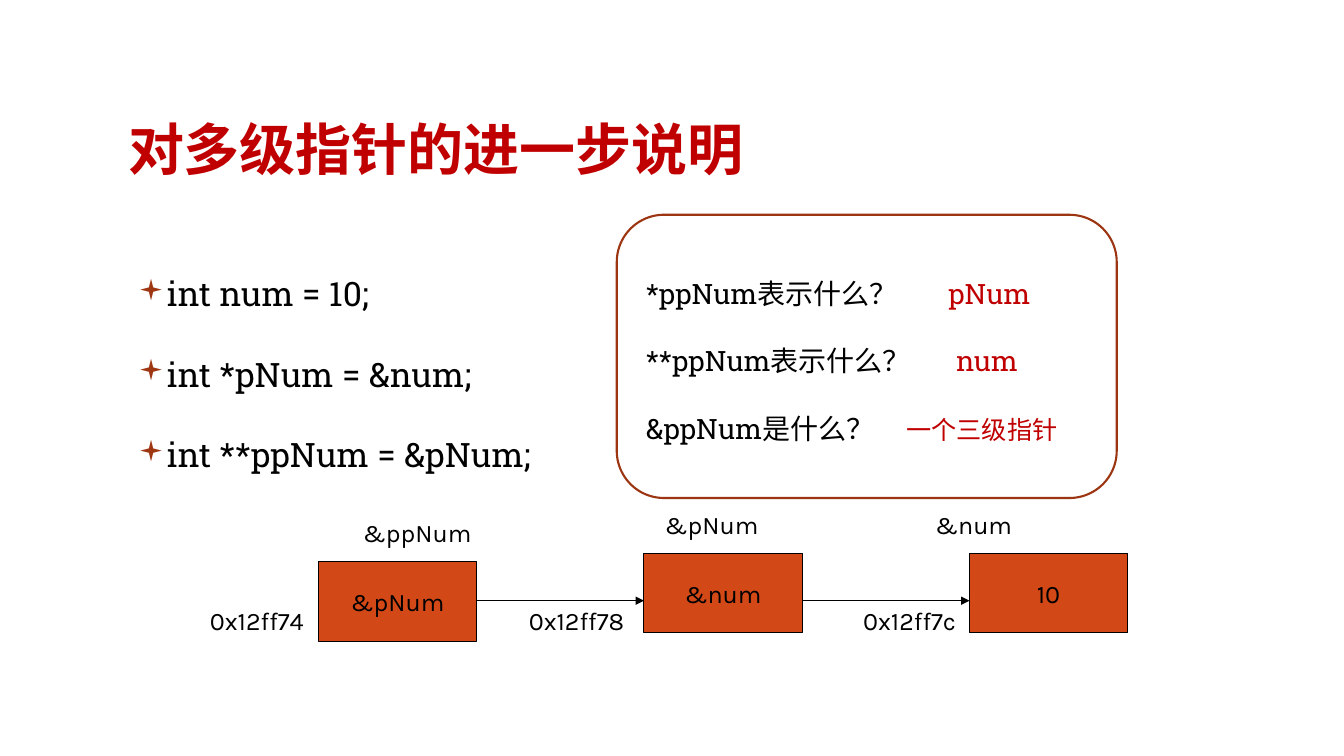
from lxml.etree import SubElement
from pptx import Presentation
from pptx.dml.color import RGBColor
from pptx.enum.shapes import MSO_CONNECTOR, MSO_SHAPE
from pptx.enum.text import MSO_ANCHOR, PP_ALIGN
from pptx.oxml.ns import qn
from pptx.util import Pt

COLORS = {"red": "C00000", "ink": "000000", "box": "D34817",
          "mark": "9E3611", "edge": "9C3511"}
HAN, SLAB, SANS = "Noto Sans CJK SC", "Roboto Slab", "Karla"


def color(name):
    return RGBColor.from_string(COLORS[name])


def add_child(node, tag, **attrs):
    return SubElement(node, qn(tag), attrs)


def write(para, text, font=SLAB, size=20, ink="ink", bold=False,
          spacing=None, align=None):
    """Append a formatted run to a paragraph."""
    run = para.add_run()
    run.text = text
    run.font.name, run.font.size, run.font.bold = font, Pt(size), bold
    run.font.color.rgb = color(ink)
    add_child(run.font._element, "a:ea", typeface=HAN)
    if spacing:
        para.line_spacing = spacing
    if align:
        para.alignment = align


def add_box(slide, left, top, width, height, anchor=MSO_ANCHOR.TOP):
    frame = slide.shapes.add_textbox(
        Pt(left), Pt(top), Pt(width), Pt(height)).text_frame
    frame.word_wrap, frame.vertical_anchor = True, anchor
    return frame


def add_lines(frame, count):
    """Return the given number of paragraphs of an empty frame."""
    return [frame.paragraphs[0]] + [frame.add_paragraph() for _ in range(count - 1)]


def add_shape(slide, kind, left, top, width, height, fill, line, weight):
    shape = slide.shapes.add_shape(kind, Pt(left), Pt(top), Pt(width), Pt(height))
    shape.shadow.inherit = False
    if fill:
        shape.fill.solid()
        shape.fill.fore_color.rgb = color(fill)
    else:
        shape.fill.background()
    shape.line.color.rgb = color(line)
    shape.line.width = Pt(weight)
    return shape


def add_title(slide, left, top, width, height):
    frame = add_box(slide, left, top, width, height, MSO_ANCHOR.MIDDLE)
    write(frame.paragraphs[0], "对多级指针的进一步说明", font=HAN, size=40,
          ink="red", bold=True, spacing=0.9)


def add_code(slide, left, top, width, height):
    """Place the bulleted declarations."""
    code = ["int num = 10;", "int *pNum = &num;", "int **ppNum = &pNum;"]
    frame = add_box(slide, left, top, width, height)
    for para, text in zip(add_lines(frame, len(code)), code):
        write(para, text, size=24, spacing=2.0)
        props = para._p.get_or_add_pPr()
        props.set("marL", str(Pt(14.4)))
        props.set("indent", str(-Pt(14.4)))
        tint = add_child(props, "a:buClr")
        add_child(tint, "a:srgbClr", val=COLORS["mark"])
        add_child(props, "a:buSzPct", val="85000")
        add_child(props, "a:buFont", typeface="Wingdings", charset="2")
        add_child(props, "a:buChar", char="▪")


def add_quiz(slide, left, top, width, height):
    """Place the rounded frame with questions and red answers."""
    items = [("*ppNum表示什么？", "pNum", 20, 216),
             ("**ppNum表示什么？", "num", 20, 221.5),
             ("&ppNum是什么？", "一个三级指针", 18, 186)]
    frame = add_box(slide, left + 13.7, top + 16.6, width - 20, 144.7)
    for para, (ask, answer, size, stop) in zip(add_lines(frame, len(items)), items):
        write(para, ask + "\t", spacing=2.0)
        write(para, answer, size=size, ink="red")
        tabs = add_child(para._p.get_or_add_pPr(), "a:tabLst")
        add_child(tabs, "a:tab", pos=str(Pt(stop)), algn="l")
    add_shape(slide, MSO_SHAPE.ROUNDED_RECTANGLE, left, top, width, height,
              None, "edge", 1.5)


def add_arrow(slide, start, end, y):
    arrow = slide.shapes.add_connector(
        MSO_CONNECTOR.STRAIGHT, Pt(start), Pt(y), Pt(end), Pt(y))
    arrow.line.color.rgb = color("ink")
    arrow.line.width = Pt(0.75)
    add_child(arrow.line._get_or_add_ln(), "a:tailEnd", type="triangle")
    add_child(arrow._element.spPr, "a:effectLst")


def add_chain(slide, left, top, width, height):
    """Place memory cells, linked left to right, with names and addresses."""
    # value, name, name offset, address, address offset, drop of the cell
    cells = [("&pNum", "&ppNum", 28, "0x12ff74", -86.5, 5.8),
             ("&num", "&pNum", 5.8, "0x12ff78", -90.7, 0),
             ("10", "&num", -39.6, "0x12ff7c", -85.3, 0)]
    cell, tall, label = 113, 57, 28
    step = (width - cell) / (len(cells) - 1)
    mid = top + height - label
    for i, (value, name, shift, address, back, drop) in enumerate(cells):
        x, y = left + i * step, top + 34.6 + drop
        box = add_shape(slide, MSO_SHAPE.RECTANGLE, x, y, cell, tall,
                        "box", "ink", 0.75)
        frames = [box.text_frame]
        for dx, spot in ((shift, y - 34.6), (back, mid)):
            frames.append(add_box(slide, x + dx, spot, 85, label))
        for frame, text in zip(frames, (value, name, address)):
            frame.word_wrap, frame.vertical_anchor = False, MSO_ANCHOR.MIDDLE
            frame.margin_left = frame.margin_right = 0
            write(frame.paragraphs[0], text, font=SANS, size=18,
                  align=PP_ALIGN.CENTER)
        if i:
            add_arrow(slide, x - step + cell, x, mid)


def main():
    deck = Presentation()
    deck.slide_width, deck.slide_height = Pt(960), Pt(540)
    slide = deck.slides.add_slide(deck.slide_layouts[6])
    add_title(slide, 84.4, 52.5, 792, 112.5)
    add_code(slide, 91.8, 162.7, 792, 203)
    add_chain(slide, 227.5, 360.5, 578, 96.6)
    add_quiz(slide, 440.6, 153.4, 357.1, 202.3)
    deck.save("out.pptx")


if __name__ == "__main__":
    main()
